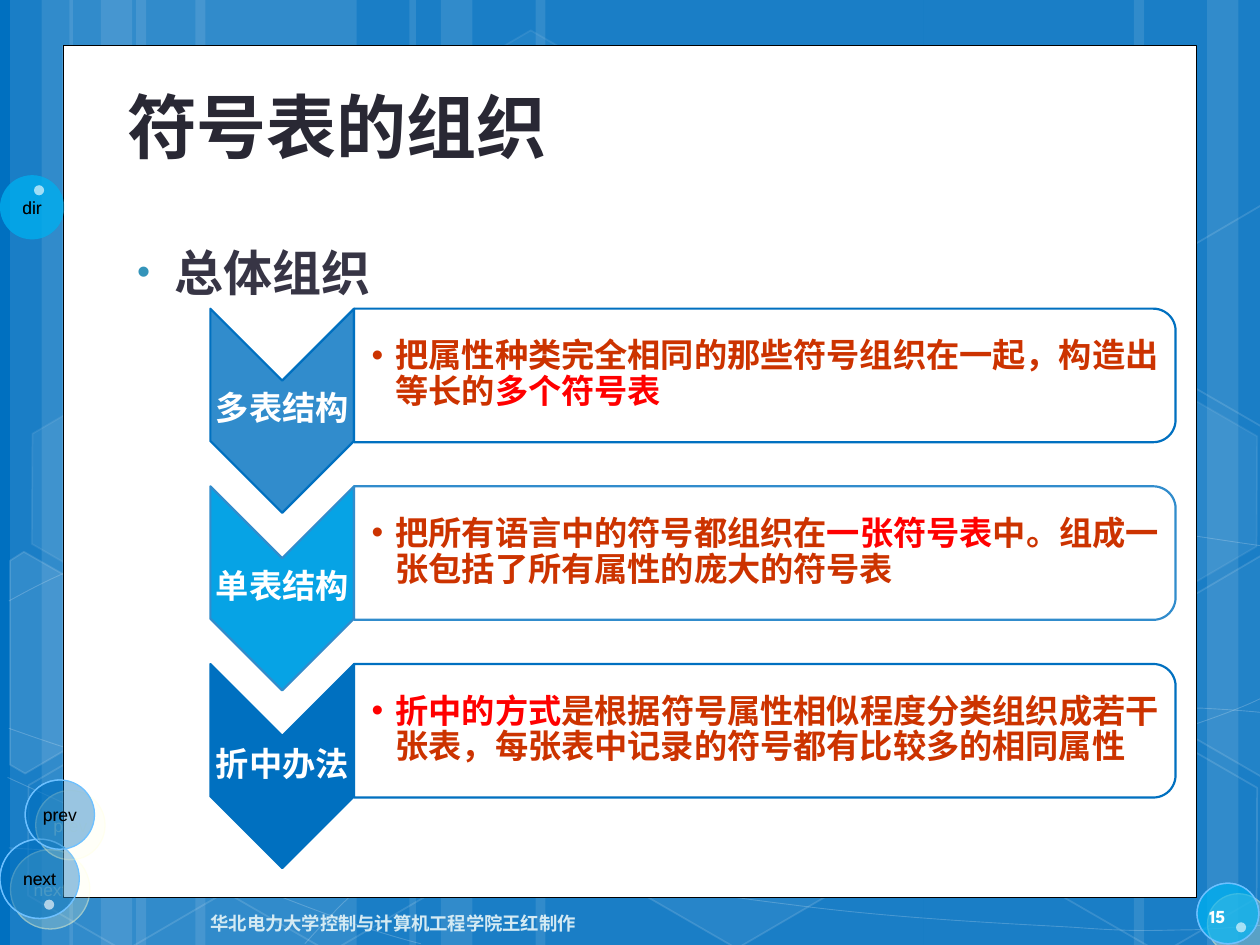
from lxml import etree
from pptx import Presentation
from pptx import util as u
from pptx.dml.color import RGBColor
from pptx.enum import shapes, text
from pptx.oxml.ns import qn

Inches, Pt = u.Inches, u.Pt
SHAPE = shapes.MSO_SHAPE
MIDDLE, CENTER = text.MSO_ANCHOR.MIDDLE, text.PP_ALIGN.CENTER
CJK, BRAND = "Noto Sans CJK SC", "League Spartan"
WHITE, BLUE, CYAN, MID_BLUE = "FFFFFF", "0070C0", "00B0F0", "318CCC"
RUST, RED = "CC3300", "FF0000"

STRIPES = [(1.08, 1.75), (0.08, 0.5), (0.33, 0.83), (1.55, 1.75), (0.55, 0.5), (0.8, 0.83),
           (7.33, 1.75), (9.58, 0.5), (9, 0.83), (4.25, 3.08), (3.25, 0.5), (3.5, 0.83)]
# Each curve is a start point followed by Bezier triples.
CURVES = [
    [(0.07, 6.73), (0.61, 6.76), (1.15, 6.79), (1.9, 6.78), (2.65, 6.77), (3.58, 6.75),
     (4.58, 6.65), (5.58, 6.55), (7, 6.36), (7.92, 6.17), (8.83, 5.98), (9.77, 5.68),
     (10.07, 5.51)],
    [(0.07, 4.77), (0.36, 4.61), (0.65, 4.46), (1.21, 4.31), (1.78, 4.16), (2.59, 3.94),
     (3.47, 3.87), (4.36, 3.8), (5.44, 3.79), (6.54, 3.87), (7.64, 3.95), (9.47, 4.26),
     (10.07, 4.34)],
    [(0.06, 6.17), (1.27, 6.72), (2.47, 7.27), (3.34, 7.49)],
    [(0.07, 5.78), (0.38, 5.89), (0.7, 6), (1.28, 6.16), (1.86, 6.31), (2.73, 6.56),
     (3.57, 6.73), (4.4, 6.9), (5.45, 7.08), (6.28, 7.18), (7.11, 7.29), (8, 7.33),
     (8.53, 7.36), (9.05, 7.4), (9.19, 7.38), (9.45, 7.38), (9.71, 7.37), (9.89, 7.35),
     (10.07, 7.34)],
    [(2.42, 7.49), (2.6, 7.29), (2.78, 7.09), (3.02, 6.91), (3.26, 6.73), (3.6, 6.53),
     (3.88, 6.39), (4.16, 6.25), (4.33, 6.19), (4.7, 6.09), (5.06, 5.99), (5.73, 5.85),
     (6.08, 5.78), (6.44, 5.71), (6.49, 5.71), (6.8, 5.69), (7.11, 5.66), (7.6, 5.63),
     (7.94, 5.62), (8.29, 5.61), (8.86, 5.62), (8.86, 5.62), (9.08, 5.62), (9.31, 5.62),
     (9.53, 5.62), (9.71, 5.63), (9.88, 5.64), (10.06, 5.66)],
]
# Left, top, fill opacity, line opacity
HEXAGONS = [(3.34, 0.36, 4, 8), (4.97, 5.89, 6, 12), (0.11, 5.91, None, 12),
            (0.14, 3.12, 7, 8), (1.74, 5.92, None, 12), (7.53, 4.53, 10, 12),
            (8.34, 5.93, None, 12), (8.34, 3.14, 7, 8)]
CUT_HEXAGONS = [
    ([(0.08, 4.45), (0.19, 4.38), (0.96, 4.82), (0.95, 5.7), (0.2, 6.14), (0.08, 6.07)], 10),
    ([(9.26, 4.85), (10.01, 4.41), (10.09, 4.46), (10.09, 6.13), (10.02, 6.17),
      (9.26, 5.73)], 4),
    ([(9.26, 2.07), (10.01, 1.63), (10.1, 1.68), (10.09, 3.35), (10.02, 3.39),
      (9.26, 2.95)], None),
]
# Box, label, fill, opacity, outlined with shadow
BUTTONS = [((9.5, 7.01, 0.49, 0.48), "", CYAN, 50, True),
           ((0, 1.39, 0.51, 0.51), "dir", CYAN, 50, False),
           ((0, 6.66, 0.63, 0.63), "next", BLUE, 40, True),
           ((0.2, 6.19, 0.55, 0.55), "prev", BLUE, 40, True)]
DOTS = [(0.35, 7.14), (0.27, 1.47), (9.81, 7.32)]
# Label, chevron fill, outline, description runs
STRUCTURES = [
    ("多表结构", MID_BLUE, BLUE,
     [("把属性种类完全相同的那些符号组织在一起，构造出等长的", RUST), ("多个符号表", RED)]),
    ("单表结构", "06A3E5", MID_BLUE,
     [("把所有语言中的符号都组织在", RUST), ("一张符号表", RED),
      ("中。组成一张包括了所有属性的庞大的符号表", RUST)]),
    ("折中办法", BLUE, BLUE,
     [("折中的方式", RED),
      ("是根据符号属性相似程度分类组织成若干张表，每张表中记录的符号都有比较多的相同属性", RUST)]),
]


def rgb(color):
    return RGBColor.from_string(color)


def sub(parent, tag, **attributes):
    return etree.SubElement(parent, qn(tag), attributes)


def paint(shape, fill=None, opacity=100, line=None, width=1, line_opacity=100):
    shape.shadow.inherit = False
    properties = shape._element.spPr
    for target, tag, color, alpha in ((shape.fill, "a:solidFill", fill, opacity),
                                      (shape.line.fill, "a:ln/a:solidFill", line, line_opacity)):
        if color is None:
            target.background()
            continue
        target.solid()
        target.fore_color.rgb = rgb(color)
        if alpha < 100:
            solid = properties.find("/".join(map(qn, tag.split("/"))))
            sub(solid[0], "a:alpha", val=str(alpha * 1000))
    if line:
        shape.line.width = Pt(width)


def add_shape(slide, kind, box, **style):
    shape = slide.shapes.add_shape(kind, *map(Inches, box))
    paint(shape, **style)
    return shape


def add_outline(slide, points, close, **style):
    start, *others = [tuple(map(Inches, point)) for point in points]
    builder = slide.shapes.build_freeform(*start)
    builder.add_line_segments(others, close=close)
    shape = builder.convert_to_shape()
    paint(shape, **style)
    return shape


def bend(shape):
    """Turn every three line segments of a freeform into one cubic curve."""
    segments = list(shape._element.iter(qn("a:lnTo")))
    for first in range(0, len(segments), 3):
        curve = etree.Element(qn("a:cubicBezTo"))
        segments[first].addprevious(curve)
        for segment in segments[first:first + 3]:
            curve.append(segment[0])
            segment.getparent().remove(segment)


def add_turned(slide, kind, box, **style):
    """Add a shape that fills the box after a quarter turn."""
    left, top, width, height = box
    shift = (width - height) / 2
    shape = add_shape(slide, kind, (left + shift, top - shift, height, width), **style)
    shape.rotation = 90


def add_text(slide, box, runs, size, bold=True, anchor=MIDDLE, align=None, insets=None,
             bullet=None):
    """Add one paragraph; runs are (text, font, color), bullet is (margin, hanging, color, percent)."""
    frame = slide.shapes.add_textbox(*map(Inches, box)).text_frame
    frame.word_wrap = True
    frame.vertical_anchor = anchor
    if insets:
        (frame.margin_left, frame.margin_top,
         frame.margin_right, frame.margin_bottom) = map(Inches, insets)
    paragraph = frame.paragraphs[0]
    if bullet:
        margin, hanging, color, percent = bullet
        properties = paragraph._p.get_or_add_pPr()
        properties.set("marL", str(Inches(margin)))
        properties.set("indent", str(-Inches(hanging)))
        sub(sub(properties, "a:buClr"), "a:srgbClr", val=color)
        sub(properties, "a:buSzPct", val=str(percent * 1000))
        sub(properties, "a:buFont", typeface="Arial")
        sub(properties, "a:buChar", char="•")
    paragraph.alignment = align
    paragraph.font.size = Pt(size)
    paragraph.font.bold = bold
    for words, font, color in runs:
        run = paragraph.add_run()
        run.text = words
        run.font.name = font
        run.font.color.rgb = rgb(color)
        sub(run._r.get_or_add_rPr(), "a:ea", typeface=CJK)
    return paragraph


def add_backdrop(slide, height):
    for left, width in STRIPES:
        add_shape(slide, SHAPE.RECTANGLE, (left, 0, width, height), fill=WHITE, opacity=10)
    for curve in CURVES:
        bend(add_outline(slide, curve, False, line=WHITE, width=0.5, line_opacity=20))
    for left, top, opacity, line_opacity in HEXAGONS:
        hexagon = add_shape(slide, SHAPE.HEXAGON, (left, top, 1.75, 1.52),
                            fill=opacity and WHITE, opacity=opacity, line=WHITE,
                            line_opacity=line_opacity)
        hexagon.adjustments[0] = 0.285
        hexagon.rotation = 30
    for points, opacity in CUT_HEXAGONS:
        add_outline(slide, points, True, fill=opacity and WHITE, opacity=opacity,
                    line=WHITE, line_opacity=12)


def add_buttons(slide):
    for box, label, color, opacity, outlined in BUTTONS:
        button = add_shape(slide, SHAPE.OVAL, box, fill=color, opacity=opacity,
                           line="6DC0FF" if outlined else None, width=0.75)
        if outlined:
            effects = button._element.spPr.find(qn("a:effectLst"))
            shadow = sub(effects, "a:outerShdw", dist=str(Pt(8.5)), dir="2700000")
            sub(sub(shadow, "a:srgbClr", val="FFFFCC"), "a:alpha", val="30000")
        if label:
            frame = button.text_frame
            frame.word_wrap = False
            frame.vertical_anchor = MIDDLE
            paragraph = frame.paragraphs[0]
            paragraph.text = label
            paragraph.alignment = CENTER
            font = paragraph.runs[0].font
            font.name, font.size, font.color.rgb = "Arial", Pt(10), rgb("000000")
    for dot in DOTS:
        add_shape(slide, SHAPE.OVAL, (*dot, 0.08, 0.08), fill=WHITE, opacity=50)


def add_structure(slide, box, label, fill, line, description):
    """Add a chevron with its label and the described panel to its right."""
    left, top, width, height = box
    chevron_width, panel_height = 1.14, 1.06
    add_turned(slide, SHAPE.CHEVRON, (left, top, chevron_width, height),
               fill=fill, line=line, width=1.25)
    heading = add_text(slide, (left, top + 0.56, chevron_width, 0.49),
                       [(label, BRAND, WHITE)], 19, align=CENTER, insets=[0.01] * 4)
    panel_left, panel_width = left + chevron_width, width - chevron_width
    add_turned(slide, SHAPE.ROUND_2_SAME_RECTANGLE,
               (panel_left, top, panel_width, panel_height),
               fill=WHITE, opacity=90, line=line, width=1.25)
    runs = [(words, CJK if color == RED else BRAND, color) for words, color in description]
    detail = add_text(slide, (panel_left - 0.01, top + 0.05, panel_width - 0.04, 0.95), runs, 19,
                      insets=(0.15, 0.01, 0.01, 0.01),
                      bullet=(0.19, 0.19, description[0][1], 100))
    for paragraph, gap in ((heading, 6.65), (detail, 2.85)):
        paragraph.line_spacing = 0.9
        paragraph.space_after = Pt(gap)


def main():
    presentation = Presentation()
    presentation.slide_width, presentation.slide_height = Inches(10), Inches(7.5)
    slide = presentation.slides.add_slide(presentation.slide_layouts[6])
    slide.background.fill.solid()
    slide.background.fill.fore_color.rgb = rgb(BLUE)

    add_backdrop(slide, 7.5)
    add_buttons(slide)
    add_shape(slide, SHAPE.RECTANGLE, (0.5, 0.36, 9, 6.76), fill=WHITE, line="000000", width=0.5)
    add_buttons(slide)

    add_text(slide, (0.91, 0.44, 7.92, 0.94), [("符号表的组织", CJK, "292834")], 40,
             anchor=text.MSO_ANCHOR.BOTTOM)
    body = add_text(slide, (0.91, 1.64, 8.18, 5.04), [("总体组织", "Courier New", "373545")],
                    28, anchor=text.MSO_ANCHOR.TOP, bullet=(0.38, 0.3, "3494BA", 76))
    body.line_spacing = 1.5
    add_text(slide, (0.95, 7.13, 3.72, 0.4),
             [("华北电力大学控制与计算机工程学院王红制作", BRAND, "D4EAF3")], 10.5,
             align=text.PP_ALIGN.RIGHT)
    add_text(slide, (9.5, 7.07, 0.47, 0.4), [("15", BRAND, "FEFEFE")], 10.5)
    for row, structure in enumerate(STRUCTURES):
        add_structure(slide, (1.67, 2.45 + 1.41 * row, 7.66, 1.62), *structure)
    presentation.save("out.pptx")


if __name__ == "__main__":
    main()
